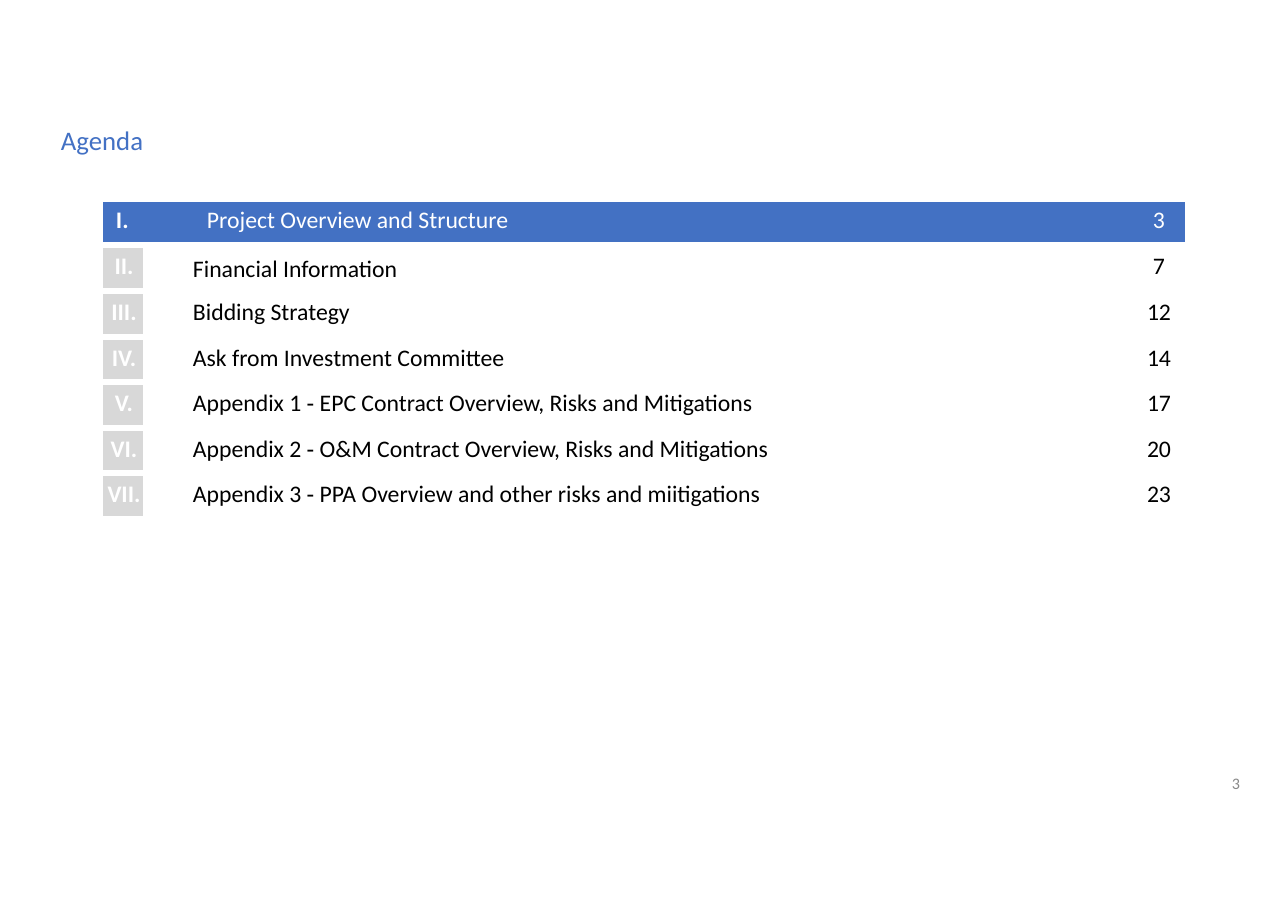
from dataclasses import dataclass

from lxml.etree import SubElement
from pptx import Presentation
from pptx.dml.color import RGBColor
from pptx.enum.text import MSO_ANCHOR, MSO_AUTO_SIZE, PP_ALIGN
from pptx.oxml.ns import qn
from pptx.util import Emu, Pt

EMU_PER_PX = 8298
FONT = "Calibri"
COLORS = {
    "title": "4371C4",
    "active": "4371C3",
    "badge": "D8D8D8",
    "white": "FFFFFF",
    "black": "000000",
    "number": "898989",
}
NO_STYLE_NO_GRID = "{2D5ABB26-0587-4C30-8999-92F81FD0307C}"
COLUMN_WIDTHS = (40, 820, 222)
BORDER = Pt(4.25)
TAB_STOP = 91
NUMERAL_LEFT, LABEL_LEFT, PAGE_LEFT = 2, 50, 170


@dataclass
class AgendaItem:
    numeral: str
    label: str
    page: str
    height: int
    label_top: int = 7
    page_top: int = 7
    label_space: float = 0
    page_space: float = 0


AGENDA = [
    AgendaItem("I.", "Project Overview and Structure", "3", 43, 4, 4),
    AgendaItem("II.", "Financial Information", "7", 46, label_top=10),
    AgendaItem("III.", "Bidding Strategy", "12", 46, label_space=9.4, page_space=11.2),
    AgendaItem("IV.", "Ask from Investment Committee", "14", 45),
    AgendaItem("V.", "Appendix 1 ‐ EPC Contract Overview, Risks and Mitigations", "17", 46),
    AgendaItem("VI.", "Appendix 2 ‐ O&M Contract Overview, Risks and Mitigations", "20", 45),
    AgendaItem("VII.", "Appendix 3 ‐ PPA Overview and other risks and miitigations", "23", 43),
]


def px(length: int) -> Emu:
    return Emu(length * EMU_PER_PX)


def color(name: str) -> RGBColor:
    return RGBColor.from_string(COLORS[name])


def add_span(para, text: str, size: float, color_name: str, bold: bool = False) -> None:
    span = para.add_run()
    span.text = text
    formats = {"name": FONT, "size": Pt(size), "bold": bold}
    for name, value in formats.items():
        setattr(span.font, name, value)
    span.font.color.rgb = color(color_name)


def set_frame(frame, left: int = 0, top: int = 0) -> None:
    formats = {
        "margin_left": px(left),
        "margin_top": px(top),
        "margin_right": 0,
        "margin_bottom": 0,
        "vertical_anchor": MSO_ANCHOR.TOP,
        "word_wrap": True,
        "auto_size": MSO_AUTO_SIZE.NONE,
    }
    for name, value in formats.items():
        setattr(frame, name, value)


def place(shape, left: int, top: int, width: int, height: int) -> None:
    for name, value in zip(("left", "top", "width", "height"), (left, top, width, height)):
        setattr(shape, name, px(value))


def format_cell(cell, left: int, top: int, fill: str | None, sides: list[str]) -> None:
    formats = {
        "margin_left": px(left),
        "margin_top": px(top),
        "margin_right": 0,
        "margin_bottom": 0,
        "vertical_anchor": MSO_ANCHOR.TOP,
    }
    for name, value in formats.items():
        setattr(cell, name, value)
    properties = cell._tc.get_or_add_tcPr()
    for side in sides:
        line = SubElement(properties, qn(f"a:{side}"), w=str(BORDER))
        paint = SubElement(line, qn("a:solidFill"))
        SubElement(paint, qn("a:srgbClr"), val=COLORS["white"])
    if fill:
        cell.fill.solid()
        cell.fill.fore_color.rgb = color(fill)
    else:
        cell.fill.background()


def fill_row(table, index: int, item: AgendaItem) -> None:
    active = index == 0
    text_color = "white" if active else "black"
    fill = "active" if active else None
    sides = ["lnT"] if index else []
    if index < len(AGENDA) - 1:
        sides.append("lnB")
    numeral, label, page = (table.cell(index, column) for column in range(3))
    numeral_left, numeral_top = (13, item.label_top) if active else (NUMERAL_LEFT, 7)
    format_cell(numeral, numeral_left, numeral_top, fill or "badge", sides)
    format_cell(label, LABEL_LEFT, item.label_top, fill, sides)
    format_cell(page, PAGE_LEFT, item.page_top, fill, sides)

    # Section numeral and label; the active row holds both in one wide cell
    para = numeral.text_frame.paragraphs[0]
    if active:
        tabs = SubElement(para._p.get_or_add_pPr(), qn("a:tabLst"))
        SubElement(tabs, qn("a:tab"), pos=str(px(TAB_STOP)), algn="l")
        add_span(para, f"{item.numeral}\t", 15.5, "white", bold=True)
        add_span(para, item.label, 15.5, text_color)
        numeral.merge(label)
    else:
        para.alignment = PP_ALIGN.CENTER
        add_span(para, item.numeral, 15.5, "white", bold=True)
        label_para = label.text_frame.paragraphs[0]
        label_para.space_before = Pt(item.label_space)
        add_span(label_para, item.label, 15.5, text_color)

    # Page reference
    page_para = page.text_frame.paragraphs[0]
    page_para.alignment = PP_ALIGN.CENTER
    page_para.space_before = Pt(item.page_space)
    add_span(page_para, item.page, 15.5, text_color)


def add_agenda(slide) -> None:
    row_heights = [item.height for item in AGENDA]
    frame = slide.shapes.add_table(
        len(AGENDA), len(COLUMN_WIDTHS),
        px(103), px(202), px(sum(COLUMN_WIDTHS)), px(sum(row_heights)),
    )
    table = frame.table
    table.first_row = table.horz_banding = False
    table._tbl.tblPr.find(qn("a:tableStyleId")).text = NO_STYLE_NO_GRID
    for column, width in zip(table.columns, COLUMN_WIDTHS):
        column.width = px(width)
    for row, height in zip(table.rows, row_heights):
        row.height = px(height)
    for index, item in enumerate(AGENDA):
        fill_row(table, index, item)
    # Items II and III share their label and page cells
    for column in (1, 2):
        table.cell(1, column).merge(table.cell(2, column))


def main() -> None:
    deck = Presentation()
    deck.slide_width, deck.slide_height = px(1288), px(911)
    slide = deck.slides.add_slide(deck.slide_layouts[5])

    # Title
    title = slide.shapes.title
    place(title, 60, 123, 85, 35)
    set_frame(title.text_frame, left=1, top=1)
    para = title.text_frame.paragraphs[0]
    para.alignment = PP_ALIGN.LEFT
    add_span(para, "Agenda", 17.5, "title")

    add_agenda(slide)

    # Slide number
    box = slide.shapes.add_textbox(px(1219), px(776), px(30), px(19))
    set_frame(box.text_frame, left=13)
    para = box.text_frame.paragraphs[0]
    para.line_spacing = Pt(11.1)
    add_span(para, "3", 10.5, "number")

    deck.save("out.pptx")


if __name__ == "__main__":
    main()
